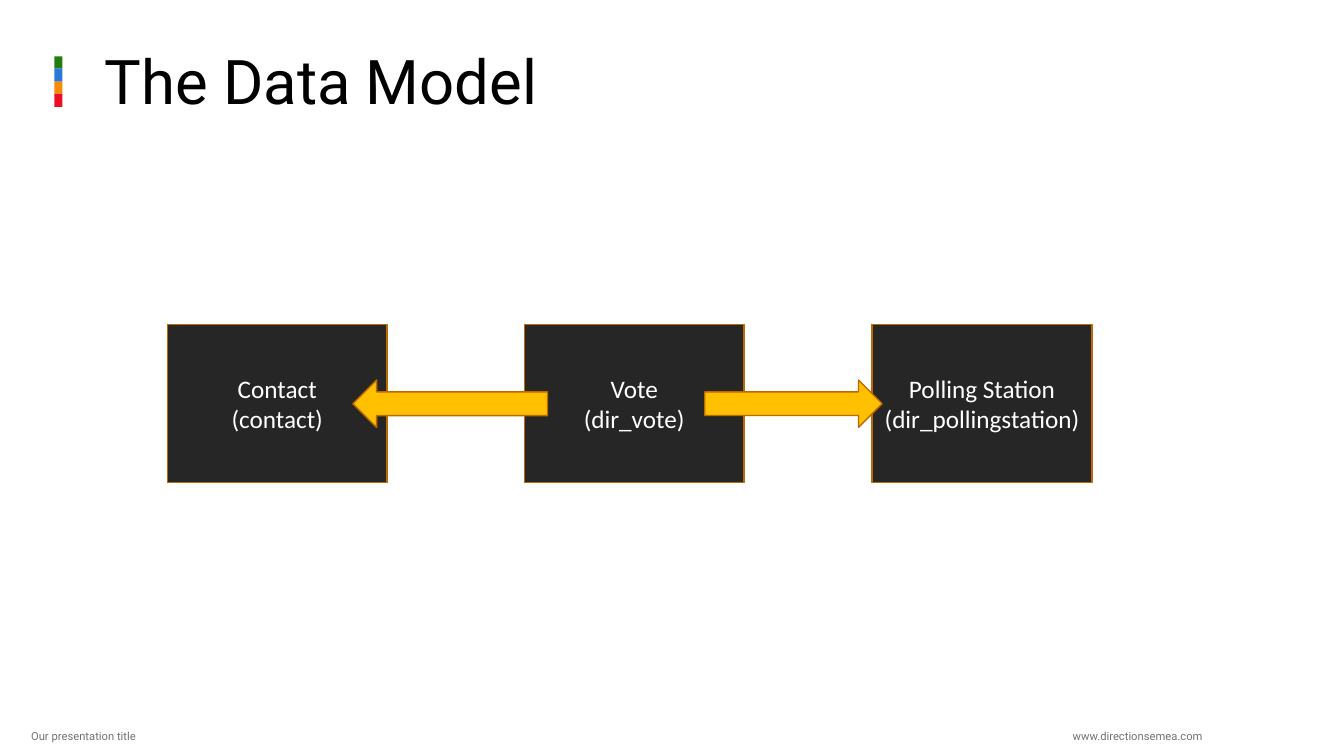
from dataclasses import dataclass

from pptx import Presentation
from pptx.dml.color import RGBColor
from pptx.enum.shapes import MSO_SHAPE as SHAPE
from pptx.enum.text import MSO_ANCHOR as ANCHOR, PP_ALIGN as ALIGN
from pptx.util import Pt

EMU_PER_PX = 9144


def px(n):
    """Turn whole px, 100 to the inch, into EMU."""
    return n * EMU_PER_PX


@dataclass(frozen=True)
class Theme:
    """Colours, fonts and type sizes of the deck."""
    heading_font: str = "Roboto"
    body_font: str = "Calibri"
    title_size: int = 44
    body_size: int = 18
    footer_size: int = 8
    ink: str = "000000"
    muted: str = "767171"
    entity: str = "262626"
    entity_text: str = "FFFFFF"
    arrow: str = "FFC000"
    outline: str = "BD6800"
    stripes: tuple = ("237C0E", "2B78D7", "F68C01", "E81022")


class DataModelSlide:
    """Draws themed elements on one slide."""

    def __init__(self, prs, theme):
        """Add a blank slide to the presentation."""
        self.theme = theme
        self.slide = prs.slides.add_slide(prs.slide_layouts[6])

    def fill_text(self, tf, lines, font, size, color, align, spacing=None):
        """Fill a text frame with one paragraph per line."""
        tf.word_wrap = True
        for i, line in enumerate(lines):
            p = tf.paragraphs[0] if i == 0 else tf.add_paragraph()
            p.text = line
            p.alignment = align
            if spacing:
                p.line_spacing = spacing
            p.font.name = font
            p.font.size = Pt(size)
            p.font.color.rgb = RGBColor.from_string(color)

    def text(self, box, line, size, color, align=ALIGN.LEFT, spacing=None):
        """Add a one-line text box in the heading font."""
        sp = self.slide.shapes.add_textbox(*map(px, box))
        self.fill_text(sp.text_frame, [line], self.theme.heading_font,
                       size, color, align, spacing)

    def shape(self, kind, box, fill, outline=None):
        """Add a flat preset shape with an optional outline."""
        sp = self.slide.shapes.add_shape(kind, *map(px, box))
        sp.shadow.inherit = False
        sp.fill.solid()
        sp.fill.fore_color.rgb = RGBColor.from_string(fill)
        if outline:
            sp.line.color.rgb = RGBColor.from_string(outline)
            sp.line.width = Pt(1)
        else:
            sp.line.fill.background()
        return sp

    def stripes(self, left, top, width, height):
        """Stack the theme stripes evenly from top to bottom."""
        colors = self.theme.stripes
        for i, color in enumerate(colors):
            start = top + height * i // len(colors)
            end = top + height * (i + 1) // len(colors)
            self.shape(SHAPE.RECTANGLE, (left, start, width, end - start), color)

    def entity(self, left, name, table):
        """Add an entity box with its display and table names."""
        t = self.theme
        sp = self.shape(SHAPE.RECTANGLE, (left, 322, 218, 157), t.entity, t.outline)
        tf = sp.text_frame
        tf.vertical_anchor = ANCHOR.MIDDLE
        self.fill_text(tf, [name, f"({table})"], t.body_font,
                       t.body_size, t.entity_text, ALIGN.CENTER)

    def arrow(self, left, width, rotation):
        """Add a relation arrow between two entities."""
        t = self.theme
        sp = self.shape(SHAPE.RIGHT_ARROW, (left, 377, width, 47), t.arrow, t.outline)
        sp.rotation = rotation


def main():
    """Build and save the data model slide."""
    prs = Presentation()
    prs.slide_width, prs.slide_height = px(1333), px(750)
    theme = Theme()
    s = DataModelSlide(prs, theme)

    s.text((1050, 719, 157, 24), "www.directionsemea.com",
           theme.footer_size, theme.muted, ALIGN.CENTER)
    s.text((21, 719, 481, 24), "Our presentation title",
           theme.footer_size, theme.muted)
    s.stripes(54, 56, 8, 50)
    s.text((94, 46, 1071, 73), "The Data Model",
           theme.title_size, theme.ink, spacing=0.9)

    for left, name, table in (
        (166, "Contact", "contact"),
        (520, "Vote", "dir_vote"),
        (865, "Polling Station", "dir_pollingstation"),
    ):
        s.entity(left, name, table)
    for left, width, rotation in ((350, 193, 180), (699, 176, 0)):
        s.arrow(left, width, rotation)

    prs.save("out.pptx")


if __name__ == "__main__":
    main()
